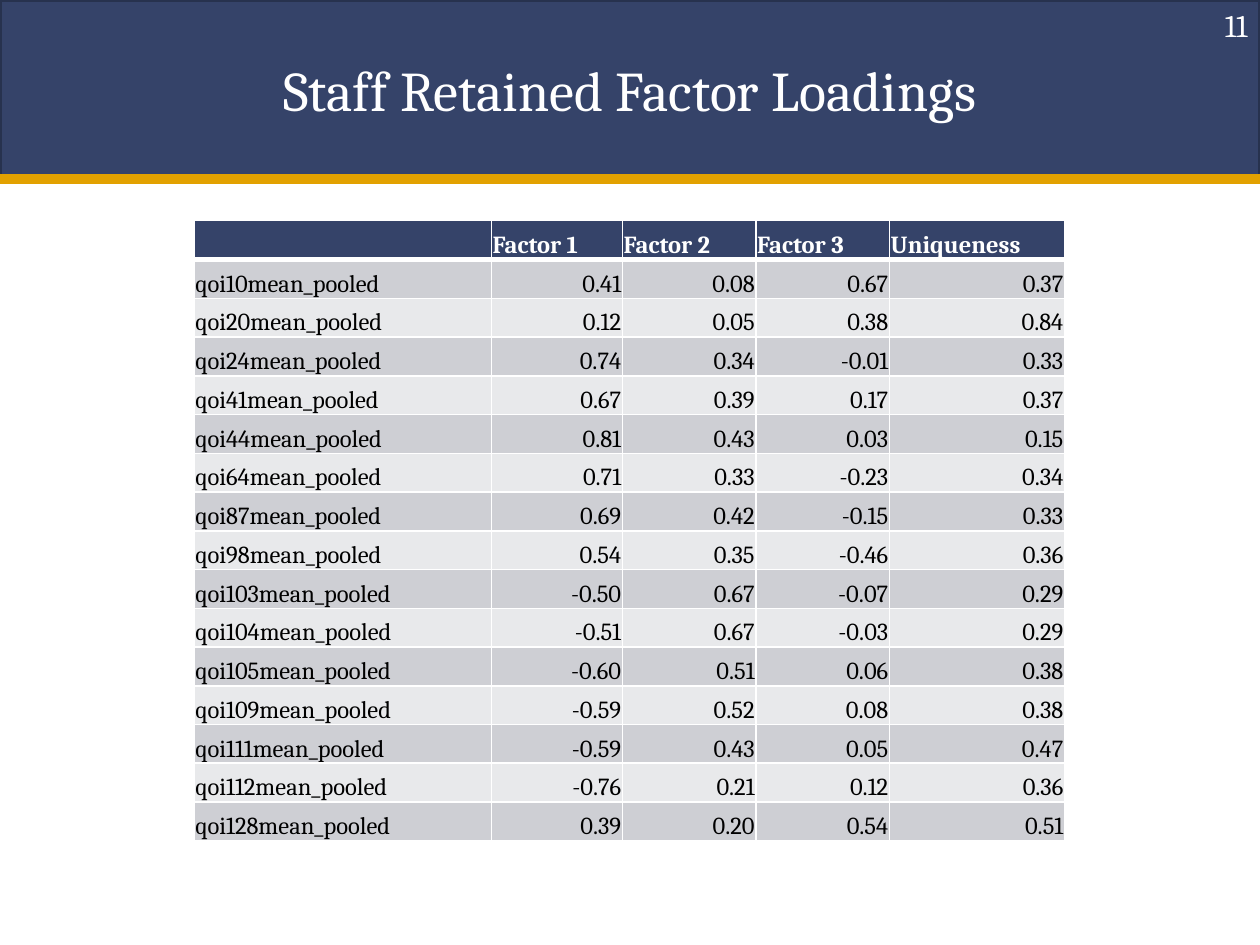
from lxml.etree import SubElement
from pptx import Presentation
from pptx.dml.color import RGBColor
from pptx.enum.shapes import MSO_CONNECTOR, MSO_SHAPE
from pptx.enum.text import MSO_ANCHOR, PP_ALIGN
from pptx.oxml.ns import qn
from pptx.util import Inches, Pt

COLORS = {
    "navy": "354369",
    "navy_edge": "27324E",
    "gold": "E2A100",
    "white": "FFFFFF",
    "black": "000000",
    "band_dark": "CECFD4",
    "band_light": "E8E9EB",
}
FONT = "Cambria"
COL_WIDTHS = [2.36, 1.04, 1.06, 1.06, 1.39]
HEADER = ["", "Factor 1", "Factor 2", "Factor 3", "Uniqueness"]
LOADINGS = {
    10: ["0.41", "0.08", "0.67", "0.37"],
    20: ["0.12", "0.05", "0.38", "0.84"],
    24: ["0.74", "0.34", "-0.01", "0.33"],
    41: ["0.67", "0.39", "0.17", "0.37"],
    44: ["0.81", "0.43", "0.03", "0.15"],
    64: ["0.71", "0.33", "-0.23", "0.34"],
    87: ["0.69", "0.42", "-0.15", "0.33"],
    98: ["0.54", "0.35", "-0.46", "0.36"],
    103: ["-0.50", "0.67", "-0.07", "0.29"],
    104: ["-0.51", "0.67", "-0.03", "0.29"],
    105: ["-0.60", "0.51", "0.06", "0.38"],
    109: ["-0.59", "0.52", "0.08", "0.38"],
    111: ["-0.59", "0.43", "0.05", "0.47"],
    112: ["-0.76", "0.21", "0.12", "0.36"],
    128: ["0.39", "0.20", "0.54", "0.51"],
}
CELL_FORMAT = {
    "vertical_anchor": MSO_ANCHOR.BOTTOM,
    "margin_left": Inches(0.01),
    "margin_right": Inches(0.01),
    "margin_top": Inches(0.01),
    "margin_bottom": 0,
}


def rgb(name):
    """Return the named colour."""
    return RGBColor.from_string(COLORS[name])


def set_attrs(obj, values):
    """Set attributes of an object from a dict."""
    for name, value in values.items():
        setattr(obj, name, value)


def write_text(tf, text, size, color, align, bold=False):
    """Write one formatted run into the first paragraph."""
    p = tf.paragraphs[0]
    p.alignment = align
    r = p.add_run()
    r.text = text
    set_attrs(r.font, {"name": FONT, "size": Pt(size), "bold": bold})
    r.font.color.rgb = rgb(color)


def add_text(slide, box, text, size, align):
    """Add a white, vertically centred text box."""
    tf = slide.shapes.add_textbox(*map(Inches, box)).text_frame
    set_attrs(tf, {"word_wrap": True, "vertical_anchor": MSO_ANCHOR.MIDDLE})
    write_text(tf, text, size, "white", align)


def add_banner(slide):
    """Add the navy title band and the gold rule under it."""
    sp = slide.shapes.add_shape(
        MSO_SHAPE.RECTANGLE, 0, 0, Inches(10), Inches(1.42))
    sp.shadow.inherit = False
    sp.fill.solid()
    sp.fill.fore_color.rgb = rgb("navy")
    sp.line.color.rgb = rgb("navy_edge")
    sp.line.width = Pt(2)

    rule = slide.shapes.add_connector(
        MSO_CONNECTOR.STRAIGHT, *map(Inches, (-0.02, 1.42, 10.03, 1.42)))
    rule.line.color.rgb = rgb("gold")
    rule.line.width = Pt(6)
    SubElement(rule._element.spPr, qn("a:effectLst"))


def add_borders(cell, widths):
    """Add white cell borders; widths maps a side (L, R, T, B) to points."""
    tc_pr = cell._tc.get_or_add_tcPr()
    for side, width in widths.items():
        ln = SubElement(tc_pr, qn(f"a:ln{side}"), w=str(Pt(width)))
        fill = SubElement(ln, qn("a:solidFill"))
        SubElement(fill, qn("a:srgbClr"), val=COLORS["white"])


def format_cell(cell, text, row, col):
    """Fill one table cell according to its row and column."""
    head = row == 0
    add_borders(cell, {"L": 1, "R": 1, "T": 3 if row == 1 else 1,
                       "B": 3 if head else 1})
    band = "navy" if head else "band_dark" if row % 2 else "band_light"
    cell.fill.solid()
    cell.fill.fore_color.rgb = rgb(band)
    set_attrs(cell, CELL_FORMAT)
    align = PP_ALIGN.LEFT if head or col == 0 else PP_ALIGN.RIGHT
    write_text(cell.text_frame, text, 14, "white" if head else "black",
               align, head)


def add_loadings_table(slide):
    """Add the table of factor loadings."""
    rows = [HEADER] + [[f"qoi{item}mean_pooled", *values]
                       for item, values in LOADINGS.items()]
    table = slide.shapes.add_table(
        len(rows), len(HEADER),
        *map(Inches, (1.54, 1.75, sum(COL_WIDTHS), 4.92))).table
    for column, width in zip(table.columns, COL_WIDTHS):
        column.width = Inches(width)
    for i, row in enumerate(rows):
        for j, text in enumerate(row):
            format_cell(table.cell(i, j), text, i, j)


def main():
    """Build the slide and save it."""
    prs = Presentation()
    prs.slide_width, prs.slide_height = Inches(10), Inches(7.5)
    s = prs.slides.add_slide(prs.slide_layouts[6])
    add_banner(s)
    add_text(s, (0.5, 0.08, 9, 1.25), "Staff Retained Factor Loadings", 32,
             PP_ALIGN.CENTER)
    add_text(s, (7.67, 0, 2.33, 0.4), "11", 18, PP_ALIGN.RIGHT)
    add_loadings_table(s)
    prs.save("out.pptx")


main()
